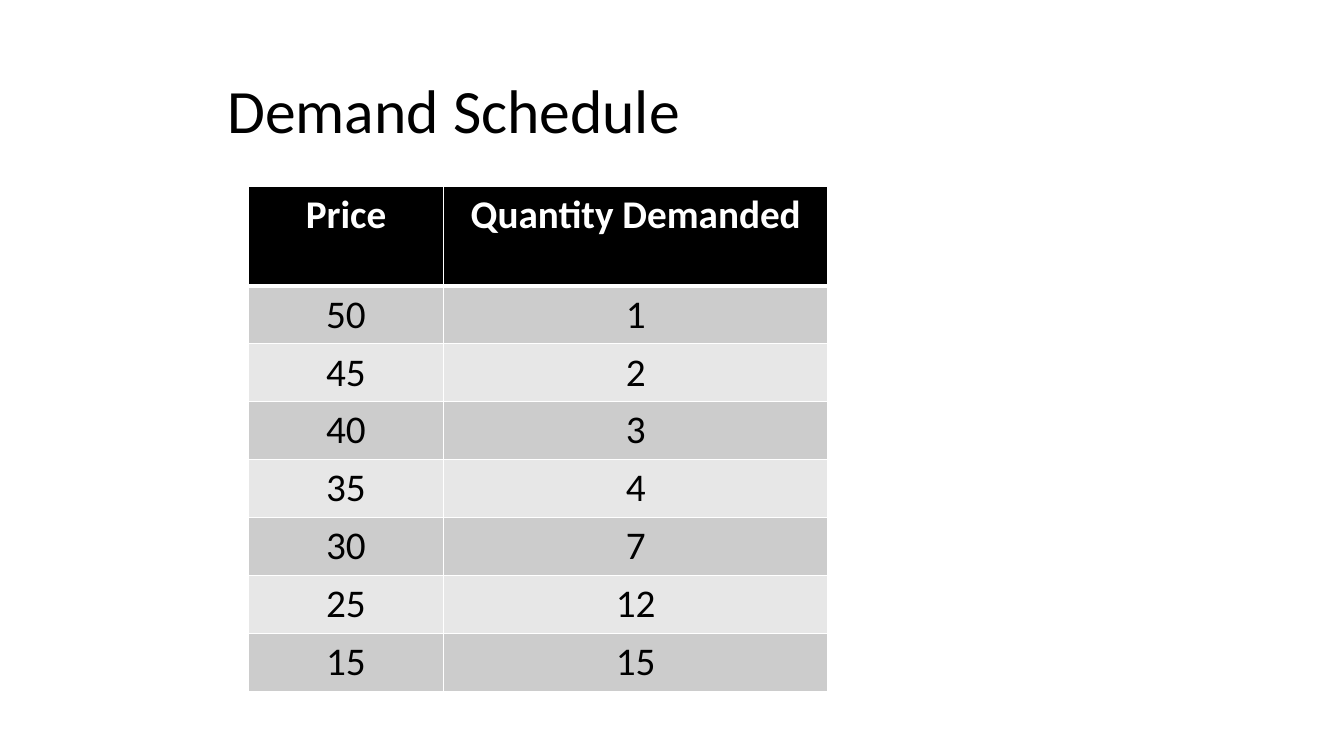
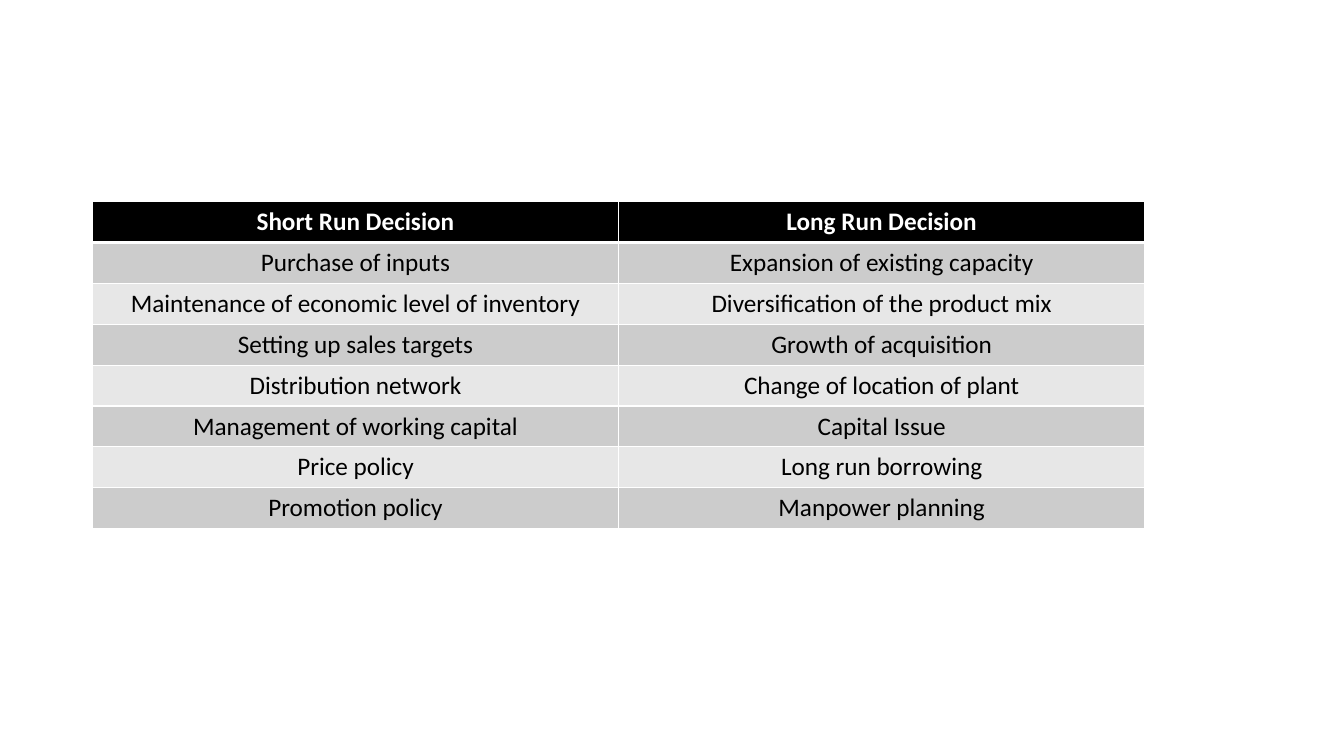
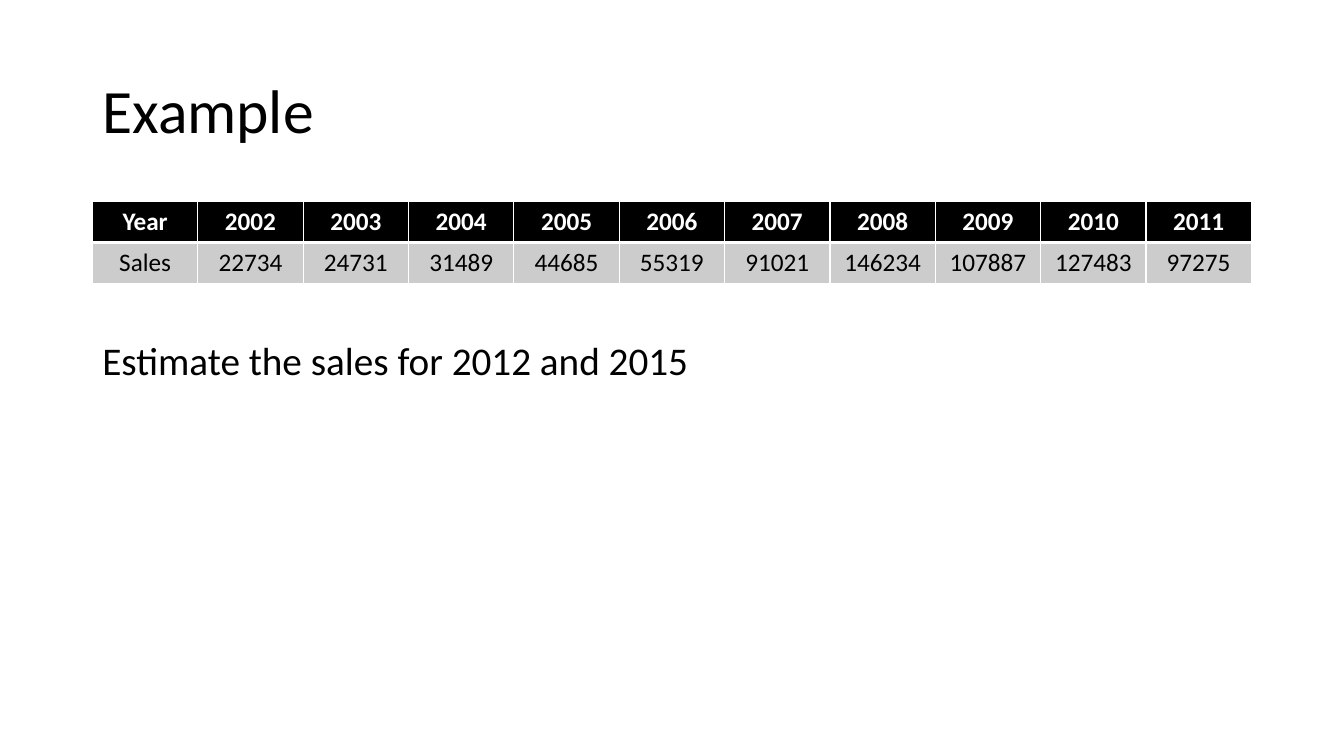
import pptx
import pptx.dml.color
import pptx.enum.text
import pptx.oxml
import pptx.oxml.ns
import pptx.util
from pptx.util import Cm, Pt

# Shared style
BLACK = pptx.dml.color.RGBColor(0x00, 0x00, 0x00)
WHITE = pptx.dml.color.RGBColor(0xFF, 0xFF, 0xFF)
DARK_BAND = pptx.dml.color.RGBColor(0xCC, 0xCC, 0xCC)
LIGHT_BAND = pptx.dml.color.RGBColor(0xE7, 0xE7, 0xE7)
FONT = "Calibri"
LEFT = Cm(2.33)
TABLE_TOP = Cm(5.08)
CONTENT_WIDTH = Cm(29.21)
ROW_HEIGHT = Cm(1.03)
TEXT_INSET = Cm(0.25)


def style_paragraph(para, size, color=BLACK, bold=False):
    para.font.name = FONT
    para.font.size = Pt(size)
    para.font.bold = bold
    para.font.color.rgb = color


def add_text(page, text, left, top, width, height, size):
    box = page.shapes.add_textbox(left, top, width, height)
    frame = box.text_frame
    frame.word_wrap = True
    frame.margin_left = TEXT_INSET
    frame.text = text
    style_paragraph(frame.paragraphs[0], size)
    return frame


def add_title(page, text, indent=0):
    frame = add_text(page, text, LEFT, Cm(1.01), CONTENT_WIDTH, Cm(3.68), 44)
    frame.margin_left = TEXT_INSET + indent
    frame.vertical_anchor = pptx.enum.text.MSO_ANCHOR.MIDDLE
    frame.paragraphs[0].line_spacing = 0.9


def set_borders(cell, top, bottom):
    """Draw white cell borders, 1 pt at the sides."""
    properties = cell._tc.get_or_add_tcPr()
    widths = {"lnL": 1, "lnR": 1, "lnT": top, "lnB": bottom}
    for position, (side, width) in enumerate(widths.items()):
        line = pptx.oxml.parse_xml(
            f'<a:{side} {pptx.oxml.ns.nsdecls("a")} w="{Pt(width)}">'
            f'<a:solidFill><a:srgbClr val="{WHITE}"/></a:solidFill></a:{side}>'
        )
        properties.insert(position, line)


def add_banded_table(page, rows, left, top, widths, size,
                     header_height=ROW_HEIGHT, row_height=ROW_HEIGHT):
    height = header_height + row_height * (len(rows) - 1)
    table = page.shapes.add_table(
        len(rows), len(widths), left, top, sum(widths), height).table
    for column, width in zip(table.columns, widths):
        column.width = width
    for row_index, values in enumerate(rows):
        header = row_index == 0
        band = DARK_BAND if row_index % 2 else LIGHT_BAND
        table.rows[row_index].height = header_height if header else row_height
        for column_index, value in enumerate(values):
            cell = table.cell(row_index, column_index)
            cell.text = value
            para = cell.text_frame.paragraphs[0]
            para.alignment = pptx.enum.text.PP_ALIGN.CENTER
            style_paragraph(para, size, WHITE if header else BLACK, header)
            cell.fill.solid()
            cell.fill.fore_color.rgb = BLACK if header else band
            set_borders(cell, 3 if row_index == 1 else 1, 3 if header else 1)


def build_demand_schedule(page):
    add_title(page, "Demand Schedule", indent=Cm(3.15))
    rows = [
        ("Price", "Quantity Demanded"),
        ("50", "1"),
        ("45", "2"),
        ("40", "3"),
        ("35", "4"),
        ("30", "7"),
        ("25", "12"),
        ("15", "15"),
    ]
    add_banded_table(page, rows, Cm(6.26), Cm(4.7), [Cm(4.92), Cm(9.68)], 28,
                     header_height=Cm(2.5), row_height=Cm(1.46))


def build_decisions(page):
    rows = [
        ("Short Run Decision", "Long Run Decision"),
        ("Purchase of inputs", "Expansion of existing capacity"),
        ("Maintenance of economic level of inventory",
         "Diversification of the product mix"),
        ("Setting up sales targets", "Growth of acquisition"),
        ("Distribution network", "Change of location of plant"),
        ("Management of working capital", "Capital Issue"),
        ("Price policy", "Long run borrowing"),
        ("Promotion policy", "Manpower planning"),
    ]
    add_banded_table(page, rows, LEFT, TABLE_TOP, [Cm(13.26)] * 2, 18)


def build_sales_example(page):
    add_title(page, "Example")
    years = [str(year) for year in range(2002, 2012)]
    sales = ["22734", "24731", "31489", "44685", "55319",
             "91021", "146234", "107887", "127483", "97275"]
    rows = [["Year", *years], ["Sales", *sales]]
    column_width = CONTENT_WIDTH // len(rows[0])
    add_banded_table(page, rows, LEFT, TABLE_TOP,
                     [column_width] * len(rows[0]), 18)
    add_text(page, "Estimate the sales for 2012 and 2015",
             LEFT, Cm(8.36), Cm(20.6), Cm(1.85), 28)


def main():
    deck = pptx.Presentation()
    deck.slide_width = Cm(33.87)
    deck.slide_height = Cm(19.05)
    blank = deck.slide_layouts[6]
    for build in (build_demand_schedule, build_decisions, build_sales_example):
        build(deck.slides.add_slide(blank))
    deck.save("out.pptx")


if __name__ == "__main__":
    main()
